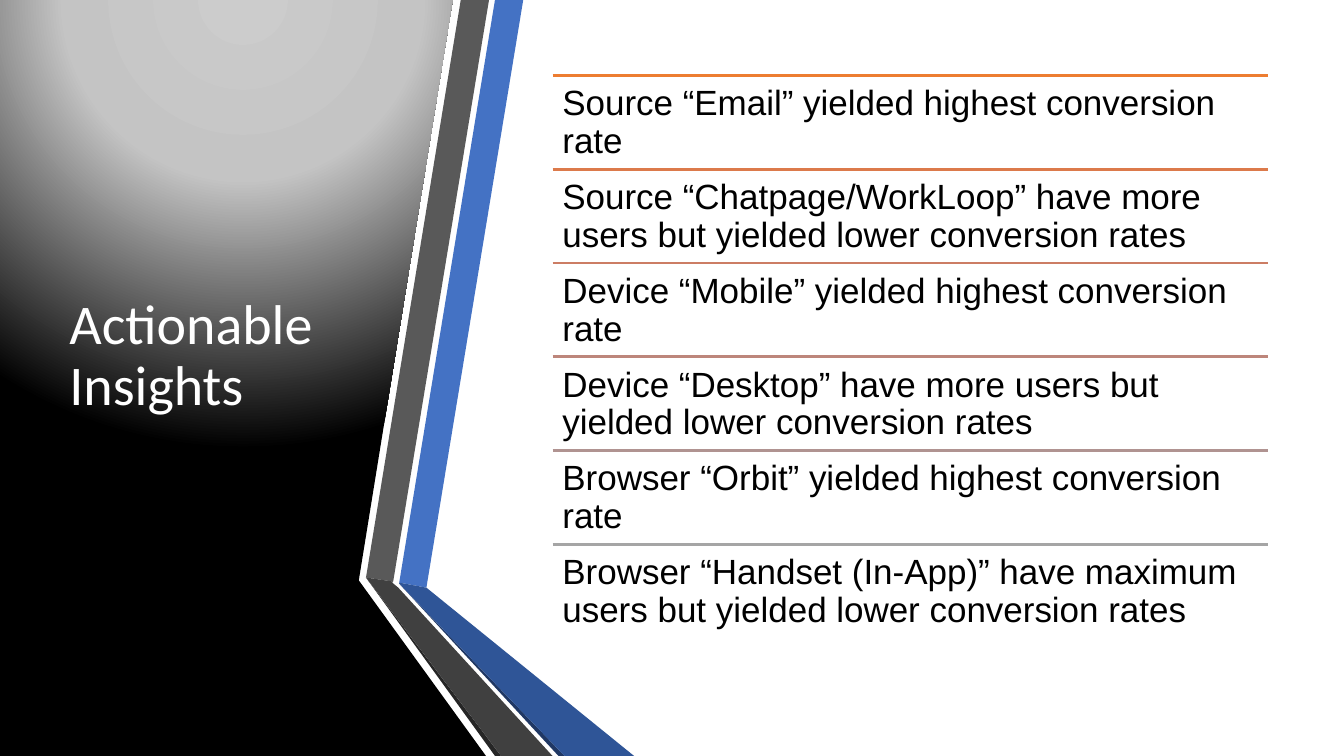
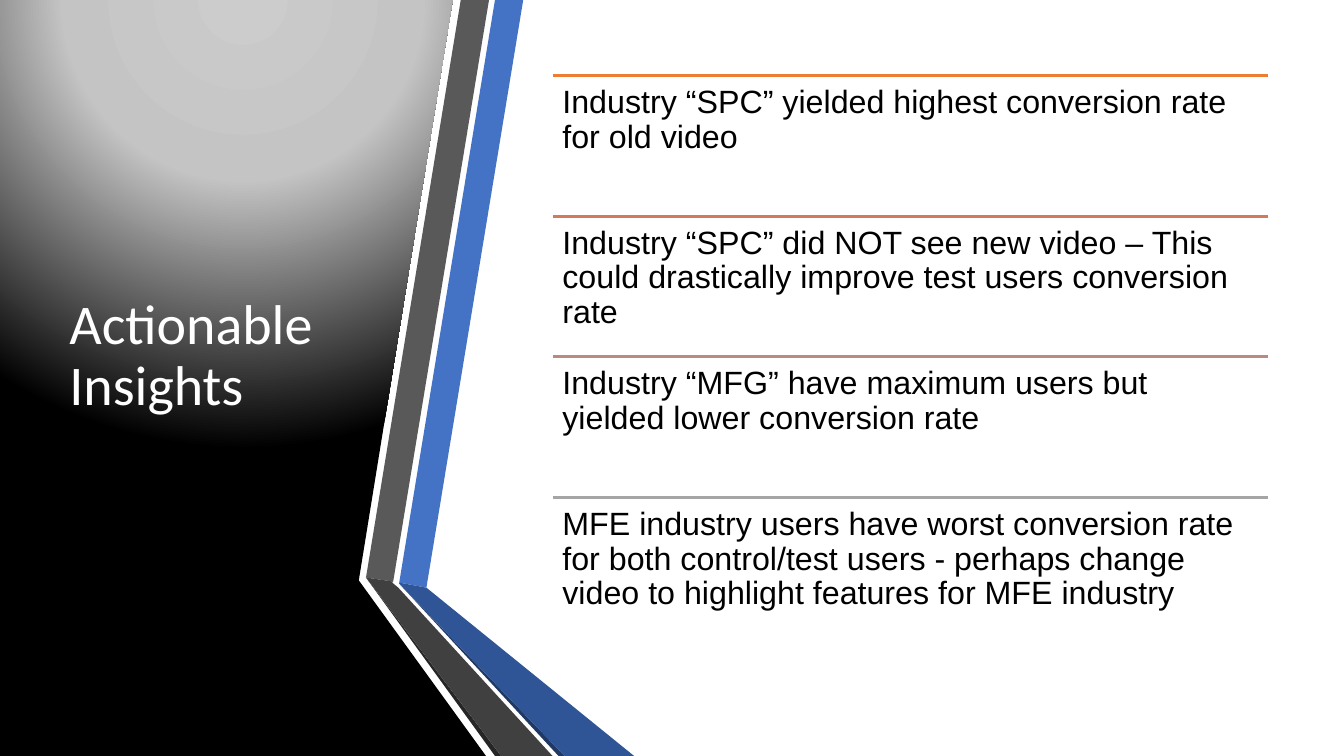
from lxml import etree
from pptx import Presentation
from pptx.dml.color import RGBColor
from pptx.enum.shapes import MSO_CONNECTOR
from pptx.enum.text import MSO_ANCHOR
from pptx.oxml import parse_xml
from pptx.oxml.ns import nsdecls, qn
from pptx.util import Inches, Pt

STRAIGHT = MSO_CONNECTOR.STRAIGHT
TOP, MIDDLE = MSO_ANCHOR.TOP, MSO_ANCHOR.MIDDLE

COLORS = {
    "white": "FFFFFF", "black": "000000",
    "blue": "4472C4", "blue fold": "2F5597", "blue edge": "203864",
    "gray": "595959", "gray fold": "404040", "gray edge": "262626",
    "glow center": "CCCCCC", "glow ring": "C4C4C4",
}

TITLE = "Actionable Insights"
# Each slide: text size, then (rule colour, insight) from top to bottom
SLIDES = [
    (25, [
        ("ED7D31", "Source “Email” yielded highest conversion rate"),
        ("DC7A4B", "Source “Chatpage/WorkLoop” have more users but yielded "
                   "lower conversion rates"),
        ("CC7D64", "Device “Mobile” yielded highest conversion rate"),
        ("BD867B", "Device “Desktop” have more users but yielded lower "
                   "conversion rates"),
        ("B09391", "Browser “Orbit” yielded highest conversion rate"),
        ("A5A5A5", "Browser “Handset (In-App)” have maximum users but yielded "
                   "lower conversion rates"),
    ]),
    (23, [
        ("ED7D31", "Industry “SPC” yielded highest conversion rate for old video"),
        ("D17B5C", "Industry “SPC” did NOT see new video – This could "
                   "drastically improve test users conversion rate"),
        ("B98A82", "Industry “MFG” have maximum users but yielded lower "
                   "conversion rate"),
        ("A5A5A5", "MFE industry users have worst conversion rate for both "
                   "control/test users - perhaps change video to highlight "
                   "features for MFE industry"),
    ]),
]

# Outlines in inches
PANEL = [(0, 0), (4.49, 0), (3.56, 5.75), (3.56, 5.76), (4.82, 7.5), (0, 7.5)]
RIBBONS = [
    ("blue", [(3.96, 5.78), (4.23, 5.83), (5.19, 0), (4.91, 0)]),
    ("gray", [(4.85, 0), (4.57, 0), (3.63, 5.73), (3.9, 5.77)]),
    ("gray edge", [(3.63, 5.73), (4.91, 7.5), (4.97, 7.5)]),
    ("blue edge", [(3.96, 5.79), (5.54, 7.5), (5.6, 7.5)]),
    ("blue fold", [(3.96, 5.79), (5.6, 7.5), (6.29, 7.5), (4.23, 5.83),
                   (3.96, 5.78)]),
    ("gray fold", [(5.48, 7.5), (3.95, 5.83), (3.89, 5.78), (3.9, 5.77),
                   (3.63, 5.73), (4.97, 7.5)]),
]
GLOW_STOPS = [(0, "glow center"), (40, "glow ring"), (100, "black")]

BODY_TOP, BODY_HEIGHT = 0.75, 5.58
TITLE_LEFT, TITLE_WIDTH = 0.59, 3.04
LIST_LEFT, LIST_WIDTH = 5.48, 7.1


def add_outline(page, points):
    corners = [(Inches(x), Inches(y)) for x, y in points]
    builder = page.shapes.build_freeform(*corners[0])
    builder.add_line_segments(corners[1:], close=True)
    shape = builder.convert_to_shape()
    shape.shadow.inherit = False
    shape.line.fill.background()
    return shape


def fill_glow(shape):
    """Fill with a round gradient centred above the shape's middle."""
    stops = "".join(
        f'<a:gs pos="{percent * 1000}"><a:srgbClr val="{COLORS[name]}"/></a:gs>'
        for percent, name in GLOW_STOPS)
    glow = parse_xml(
        f'<a:gradFill {nsdecls("a")} rotWithShape="1"><a:gsLst>{stops}</a:gsLst>'
        '<a:path path="circle"><a:fillToRect l="50000" t="-80000" r="50000" '
        'b="180000"/></a:path></a:gradFill>')
    shape.fill.background()
    properties = shape._element.spPr
    properties.replace(properties.find(qn("a:noFill")), glow)


def add_text(page, text, place, font, size, color, anchor, inset):
    box = page.shapes.add_textbox(*(Inches(length) for length in place))
    frame = box.text_frame
    frame.word_wrap = True
    frame.vertical_anchor = anchor
    frame.margin_left = frame.margin_right = Inches(0.1)
    frame.margin_top = frame.margin_bottom = Inches(inset)
    para = frame.paragraphs[0]
    para.text = text
    para.line_spacing = 0.9
    para.font.name = font
    para.font.size = Pt(size)
    para.font.color.rgb = RGBColor.from_string(COLORS[color])


def add_rule(page, top, color):
    rule = page.shapes.add_connector(
        STRAIGHT, Inches(LIST_LEFT), Inches(top),
        Inches(LIST_LEFT + LIST_WIDTH), Inches(top))
    rule.line.color.rgb = RGBColor.from_string(color)
    rule.line.width = Pt(2)
    etree.SubElement(rule._element.spPr, qn("a:effectLst"))


def add_side_panel(page):
    fill_glow(add_outline(page, PANEL))
    for color, points in RIBBONS:
        ribbon = add_outline(page, points)
        ribbon.fill.solid()
        ribbon.fill.fore_color.rgb = RGBColor.from_string(COLORS[color])
    add_text(page, TITLE, (TITLE_LEFT, BODY_TOP, TITLE_WIDTH, BODY_HEIGHT),
             "Calibri", 40, "white", MIDDLE, 0.05)


def add_insights(page, size, insights):
    row_height = BODY_HEIGHT / len(insights)
    for row, (rule_color, text) in enumerate(insights):
        top = BODY_TOP + row * row_height
        add_rule(page, top, rule_color)
        add_text(page, text, (LIST_LEFT, top, LIST_WIDTH, row_height),
                 "Arial", size, "black", TOP, 0.1)


def main():
    deck = Presentation()
    deck.slide_width, deck.slide_height = Inches(13.33), Inches(7.5)
    blank = deck.slide_layouts[6]
    for size, insights in SLIDES:
        page = deck.slides.add_slide(blank)
        add_side_panel(page)
        add_insights(page, size, insights)
    deck.save("out.pptx")


if __name__ == "__main__":
    main()
